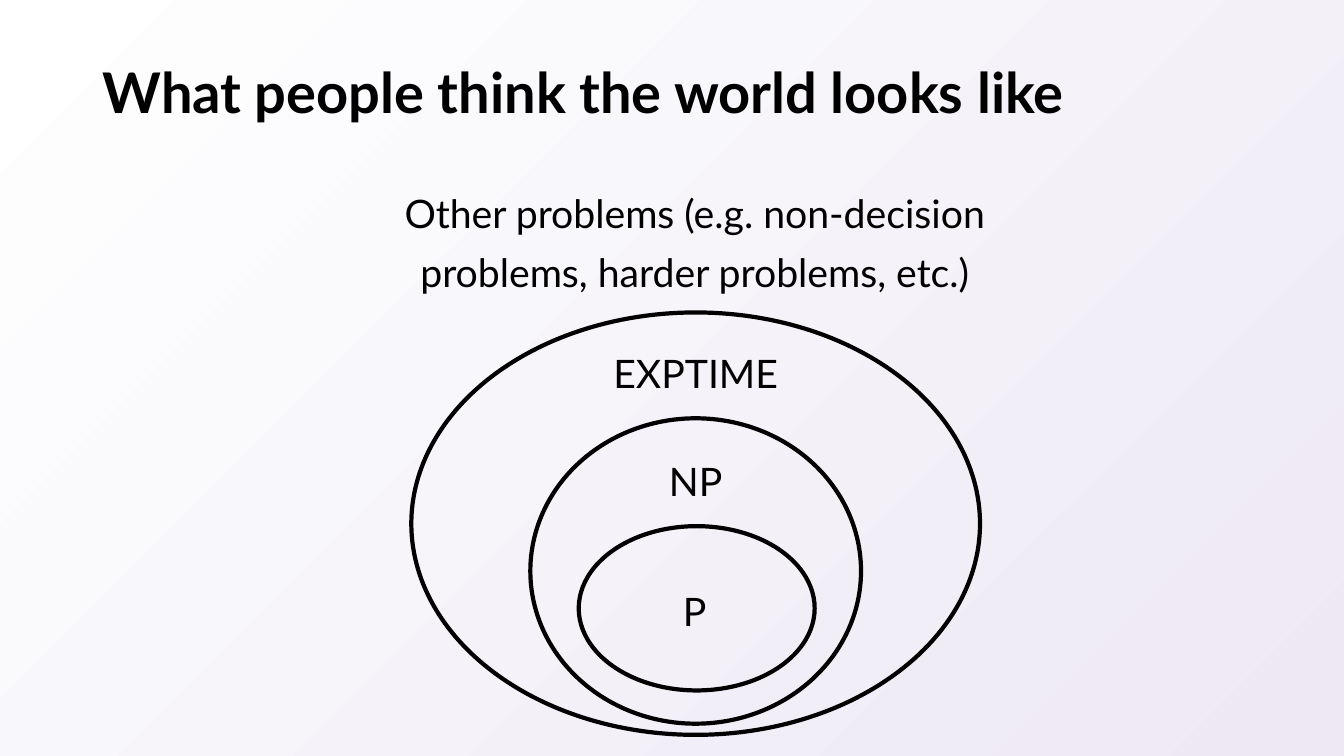
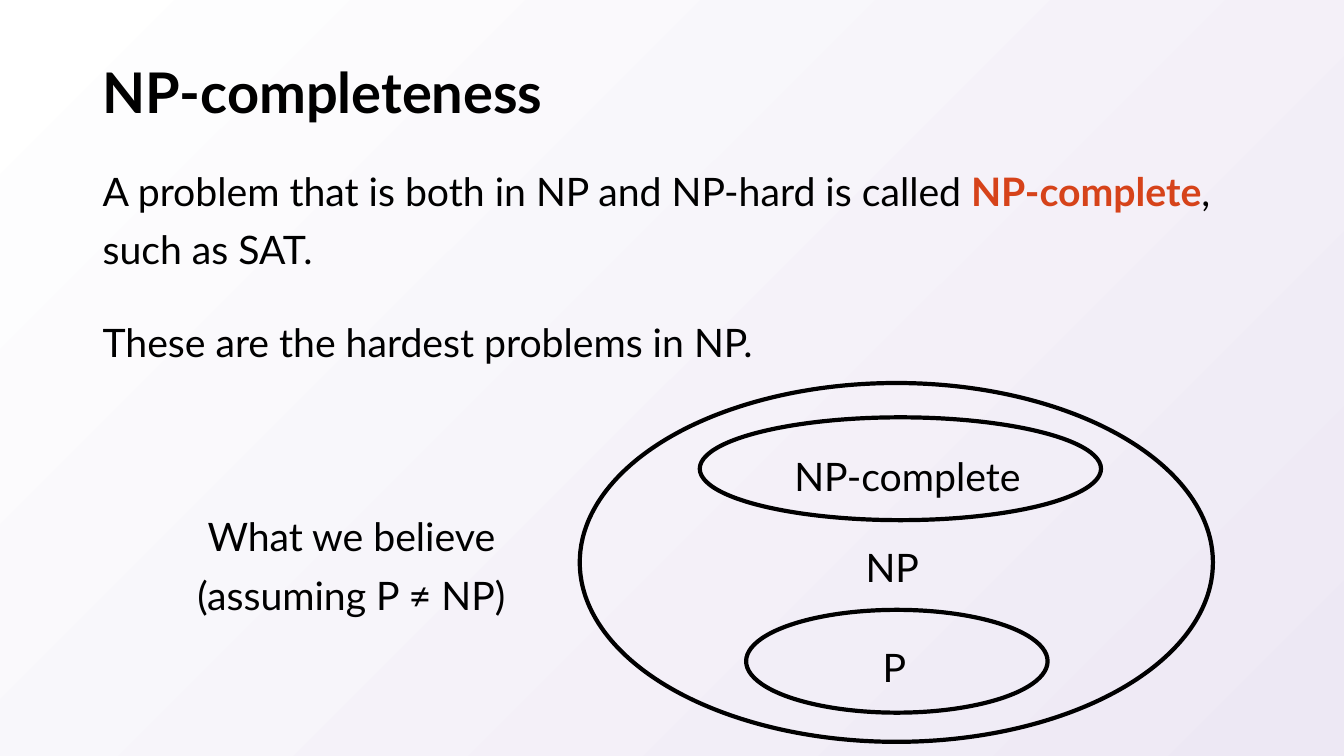
from dataclasses import dataclass

from pptx import Presentation
from pptx.dml.color import RGBColor
from pptx.enum.shapes import MSO_SHAPE
from pptx.enum.text import MSO_ANCHOR, PP_ALIGN
from pptx.util import Inches, Pt

ELLIPSE = MSO_SHAPE.OVAL
LEFT, CENTER = PP_ALIGN.LEFT, PP_ALIGN.CENTER
TOP, MIDDLE = MSO_ANCHOR.TOP, MSO_ANCHOR.MIDDLE


@dataclass(frozen=True)
class Theme:
    font: str = "Lato"
    ink: RGBColor = RGBColor.from_string("000000")
    accent: RGBColor = RGBColor.from_string("D6431A")
    background: tuple = ("FFFFFF", "EDE8F4")
    background_angle: int = 315  # counter-clockwise: top left to bottom right
    title_size: int = 40
    text_size: int = 28
    title_spacing: float = 0.9
    text_spacing: float = 1.25
    space_before: int = 24
    outline: int = 3


THEME = Theme()
TITLE_BOX = (0.92, 0.4, 11.5, 1.09)
BODY_BOX = (0.92, 1.49, 11.5, 5.26)
LABEL_WIDTH, LABEL_HEIGHT = 3, 0.63

# A paragraph is a list of (text, highlighted) runs.
# A set is its ellipse box, then its label, label centre and label top.
SLIDES = [
    {
        "title": "What people think the world looks like",
        "body": [],
        "caption": ("Other problems (e.g. non-decision problems, harder problems, etc.)",
                    (3.47, 1.71, 6.84, 1.22)),
        "sets": [
            ((4.08, 3.1, 5.64, 4.19), "EXPTIME", 6.9, 3.3),
            ((5.26, 4.15, 3.28, 3.03), "NP", 6.9, 4.37),
            ((5.74, 5.22, 2.34, 1.63), "P", 6.89, 5.66),
        ],
    },
    {
        "title": "NP-completeness",
        "body": [
            [("A problem that is both in NP and NP-hard is called ", False),
             ("NP-complete", True), (", such as SAT.", False)],
            [("These are the hardest problems in NP.", False)],
        ],
        "caption": ("What we believe (assuming P ≠ NP)", (1.82, 4.92, 3.33, 1.22)),
        "sets": [
            ((5.75, 3.8, 6.28, 3.56), "NP", 8.85, 5.22),
            ((6.94, 4.14, 3.98, 1.02), "NP-complete", 9, 4.32),
            ((7.4, 6.05, 2.99, 1.02), "P", 8.87, 6.22),
        ],
    },
]


def inches(box):
    return [Inches(length) for length in box]


def paint_background(slide):
    fill = slide.background.fill
    fill.gradient()
    fill.gradient_angle = THEME.background_angle
    for stop, color in zip(fill.gradient_stops, THEME.background):
        stop.color.rgb = RGBColor.from_string(color)


def add_text(slide, box, paragraphs, align=LEFT, is_title=False):
    frame = slide.shapes.add_textbox(*inches(box)).text_frame
    frame.word_wrap = True
    frame.vertical_anchor = MIDDLE if is_title else TOP
    for index, runs in enumerate(paragraphs):
        paragraph = frame.add_paragraph() if index else frame.paragraphs[0]
        paragraph.alignment = align
        paragraph.line_spacing = THEME.title_spacing if is_title else THEME.text_spacing
        paragraph.space_before = Pt(0 if is_title else THEME.space_before)
        paragraph.font.name = THEME.font
        paragraph.font.size = Pt(THEME.title_size if is_title else THEME.text_size)
        paragraph.font.bold = is_title
        paragraph.font.color.rgb = THEME.ink
        for text, highlighted in runs:
            run = paragraph.add_run()
            run.text = text
            run.font.name = THEME.font
            run.font.size = paragraph.font.size
            run.font.bold = is_title or highlighted
            run.font.color.rgb = THEME.accent if highlighted else THEME.ink


def add_set(slide, box, label, label_center, label_top):
    """Draw one set of a Venn diagram with its name inside."""
    ellipse = slide.shapes.add_shape(ELLIPSE, *inches(box))
    ellipse.shadow.inherit = False
    ellipse.fill.background()
    ellipse.line.color.rgb = THEME.ink
    ellipse.line.width = Pt(THEME.outline)
    label_box = (label_center - LABEL_WIDTH / 2, label_top, LABEL_WIDTH, LABEL_HEIGHT)
    add_text(slide, label_box, [[(label, False)]], CENTER)


def add_slide(presentation, content):
    slide = presentation.slides.add_slide(presentation.slide_layouts[6])
    paint_background(slide)
    add_text(slide, TITLE_BOX, [[(content["title"], False)]], is_title=True)
    if content["body"]:
        add_text(slide, BODY_BOX, content["body"])
    for venn_set in content["sets"]:
        add_set(slide, *venn_set)
    caption, caption_box = content["caption"]
    add_text(slide, caption_box, [[(caption, False)]], CENTER)


def main():
    presentation = Presentation()
    presentation.slide_width = Inches(13.33)
    presentation.slide_height = Inches(7.5)
    for content in SLIDES:
        add_slide(presentation, content)
    presentation.save("out.pptx")


if __name__ == "__main__":
    main()
